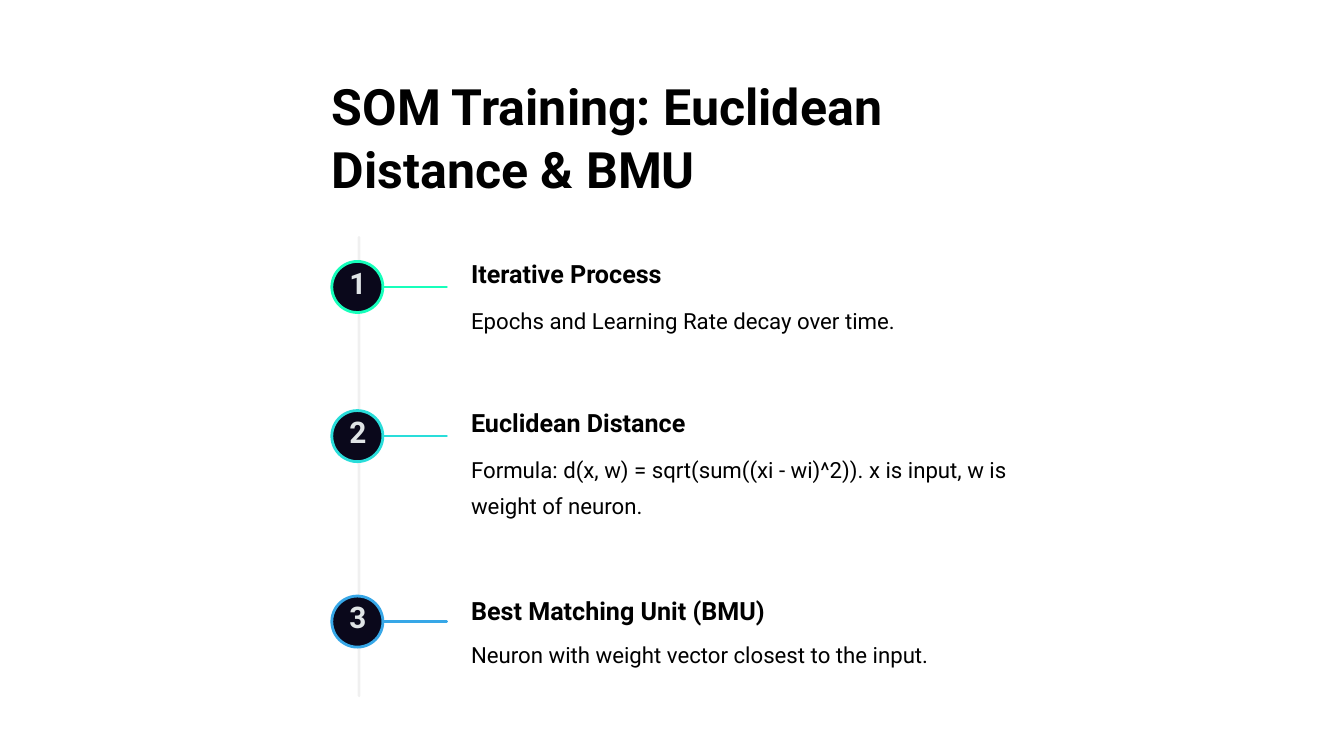
from lxml.etree import SubElement
from pptx import Presentation
from pptx.dml.color import RGBColor
from pptx.enum.shapes import MSO_CONNECTOR, MSO_SHAPE
from pptx.enum.text import PP_ALIGN
from pptx.oxml.ns import qn
from pptx.util import Pt

PX = 9525  # EMU per pixel, 96 pixels to the inch

BLACK = RGBColor(0x00, 0x00, 0x00)
NAVY = RGBColor(0x0A, 0x08, 0x1B)
PALE = RGBColor(0xE0, 0xE4, 0xE6)
MINT = RGBColor(0x16, 0xFF, 0xBB)
TEAL = RGBColor(0x29, 0xDD, 0xDA)
BLUE = RGBColor(0x37, 0xA7, 0xE7)

AXIS_X = 513
CIRCLE_LEFT = 474
CIRCLE_SIZE = 73
TEXT_LEFT = 673
TEXT_WIDTH = 775

# number, colour, circle centre, heading top, body height, heading, body
STEPS = [
    ("1", MINT, 410, 367, 60, "Iterative Process",
     "Epochs and Learning Rate decay over time."),
    ("2", TEAL, 623, 580, 112, "Euclidean Distance",
     "Formula: d(x, w) = sqrt(sum((xi - wi)^2)). x is input, w is weight of neuron."),
    ("3", BLUE, 888, 848, 60, "Best Matching Unit (BMU)",
     "Neuron with weight vector closest to the input."),
]

presentation = Presentation()
presentation.slide_width = 1920 * PX
presentation.slide_height = 1080 * PX
slide = presentation.slides.add_slide(presentation.slide_layouts[6])


def add_text(left, top, width, height, text, size, spacing,
             bold=False, color=BLACK, align=PP_ALIGN.LEFT):
    box = slide.shapes.add_textbox(left * PX, top * PX, width * PX, height * PX)
    frame = box.text_frame
    frame.word_wrap = True
    frame.margin_left = frame.margin_right = 0
    frame.margin_top = frame.margin_bottom = 0
    paragraph = frame.paragraphs[0]
    paragraph.alignment = align
    paragraph.line_spacing = Pt(spacing)
    run = paragraph.add_run()
    run.text = text
    run.font.name = "Roboto"
    run.font.size = Pt(size)
    run.font.bold = bold
    run.font.color.rgb = color


def add_line(x1, y1, x2, y2, color):
    """Draw a round-capped line without a shadow and return it."""
    connector = slide.shapes.add_connector(
        MSO_CONNECTOR.STRAIGHT, x1 * PX, y1 * PX, x2 * PX, y2 * PX)
    connector.line.width = 4 * PX
    connector.line.color.rgb = color
    connector.line._get_or_add_ln().set("cap", "rnd")
    SubElement(connector._element.spPr, qn("a:effectLst"))
    return connector


add_text(474, 104, 973, 184, "SOM Training: Euclidean Distance & BMU",
         53.7, 67.5, bold=True)

axis = add_line(AXIS_X, 339, AXIS_X, 994, BLACK)
axis_color = axis._element.spPr.find(".//" + qn("a:srgbClr"))
SubElement(axis_color, qn("a:alpha")).set("val", "5000")

for number, color, center, heading_top, body_height, heading, body in STEPS:
    add_line(545, center, 638, center, color)

    circle = slide.shapes.add_shape(
        MSO_SHAPE.OVAL, CIRCLE_LEFT * PX, center * PX - CIRCLE_SIZE * PX // 2,
        CIRCLE_SIZE * PX, CIRCLE_SIZE * PX)
    circle.shadow.inherit = False
    circle.fill.solid()
    circle.fill.fore_color.rgb = NAVY
    circle.line.color.rgb = color
    circle.line.width = 4 * PX

    add_text(490, center - 24, 43, 51, number, 31.9, 31.9,
             bold=True, color=PALE, align=PP_ALIGN.CENTER)
    add_text(TEXT_LEFT, heading_top, 487, 47, heading, 26.9, 33.7, bold=True)
    add_text(TEXT_LEFT, center + 15, TEXT_WIDTH, body_height, body, 23.8, 38.8)

presentation.save("out.pptx")
